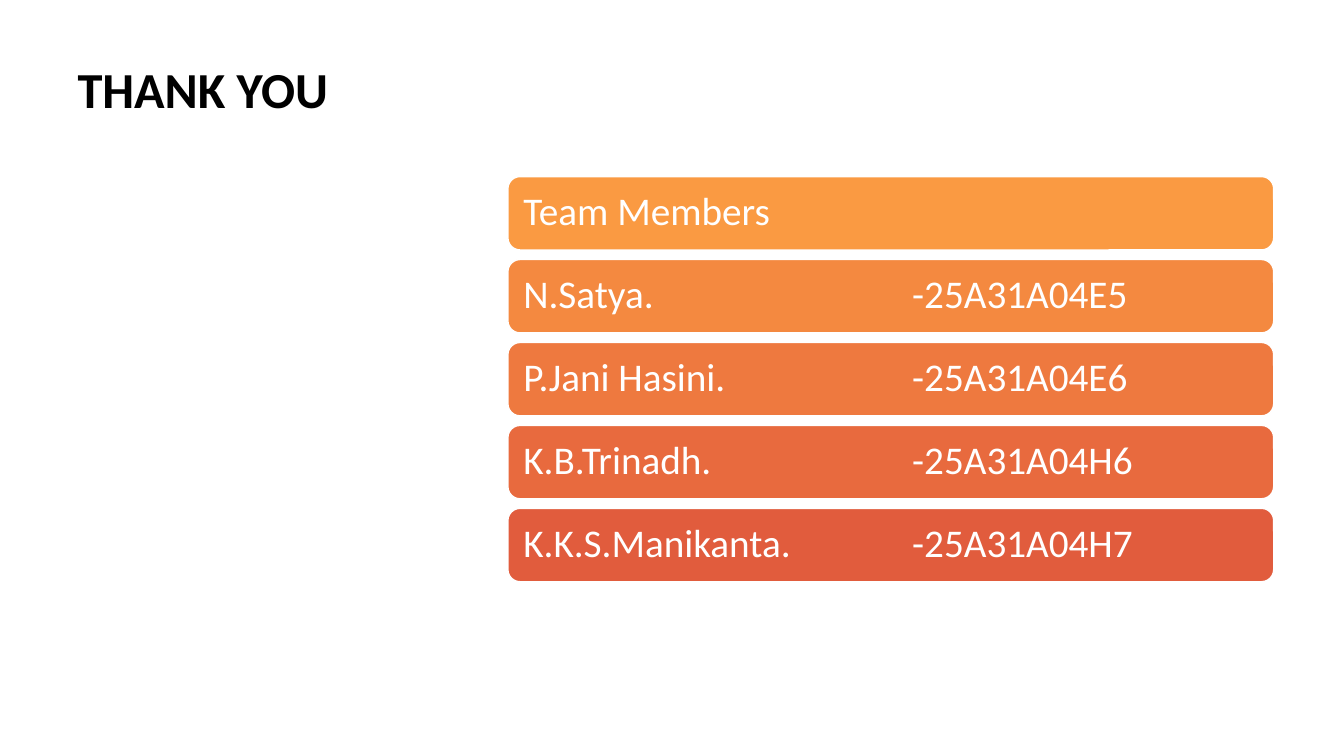
import pptx
import pptx.dml.color
import pptx.enum.shapes
import pptx.enum.text
import pptx.oxml.ns
import pptx.util
from lxml import etree

Cm = pptx.util.Cm
Pt = pptx.util.Pt
RGBColor = pptx.dml.color.RGBColor

BLACK = RGBColor(0x00, 0x00, 0x00)
WHITE = RGBColor(0xFF, 0xFF, 0xFF)
BAR_COLORS = [
    RGBColor(0xFA, 0x9A, 0x42),
    RGBColor(0xF4, 0x89, 0x40),
    RGBColor(0xEE, 0x79, 0x3F),
    RGBColor(0xE8, 0x6A, 0x3E),
    RGBColor(0xE1, 0x5C, 0x3D),
]
BAR_TEXTS = [
    "Team Members",
    "N.Satya.\t-25A31A04E5",
    "P.Jani Hasini.\t-25A31A04E6",
    "K.B.Trinadh.\t-25A31A04H6",
    "K.K.S.Manikanta.\t-25A31A04H7",
]
BAR_TOP = 4.45
BAR_PITCH = 2.09
ROLL_NUMBER_TAB = Cm(9.8)


def style_paragraph(para, size, color, bold=False):
    para.alignment = pptx.enum.text.PP_ALIGN.LEFT
    para.line_spacing = 0.9
    para.font.name = "Calibri"
    para.font.size = Pt(size)
    para.font.bold = bold
    para.font.color.rgb = color


def add_tab_stop(para, position):
    properties = para._p.get_or_add_pPr()
    tab_list = etree.Element(pptx.oxml.ns.qn("a:tabLst"))
    etree.SubElement(tab_list, pptx.oxml.ns.qn("a:tab"), pos=str(position), algn="l")
    properties.find(pptx.oxml.ns.qn("a:defRPr")).addprevious(tab_list)


deck = pptx.Presentation()
deck.slide_width = Cm(33.87)
deck.slide_height = Cm(19.05)
page = deck.slides.add_slide(deck.slide_layouts[5])

title = page.shapes.title
title.left, title.top, title.width, title.height = Cm(1.7), Cm(1.52), Cm(9.7), Cm(16.08)
title.text_frame.text = "THANK YOU"
title.text_frame.auto_size = pptx.enum.text.MSO_AUTO_SIZE.NONE
title.text_frame.vertical_anchor = pptx.enum.text.MSO_ANCHOR.TOP
style_paragraph(title.text_frame.paragraphs[0], 36, BLACK, bold=True)

for index, (text, color) in enumerate(zip(BAR_TEXTS, BAR_COLORS)):
    bar = page.shapes.add_shape(
        pptx.enum.shapes.MSO_SHAPE.ROUNDED_RECTANGLE,
        Cm(12.8), Cm(BAR_TOP + index * BAR_PITCH), Cm(19.3), Cm(1.85),
    )
    bar.shadow.inherit = False
    bar.fill.solid()
    bar.fill.fore_color.rgb = color
    bar.line.color.rgb = WHITE
    bar.line.width = Pt(1)

    frame = bar.text_frame
    frame.word_wrap = True
    frame.vertical_anchor = pptx.enum.text.MSO_ANCHOR.MIDDLE
    frame.margin_left = frame.margin_right = Cm(0.3)
    frame.margin_top = frame.margin_bottom = Cm(0.3)
    frame.text = text
    style_paragraph(frame.paragraphs[0], 28, WHITE)
    add_tab_stop(frame.paragraphs[0], ROLL_NUMBER_TAB)

deck.save("out.pptx")
